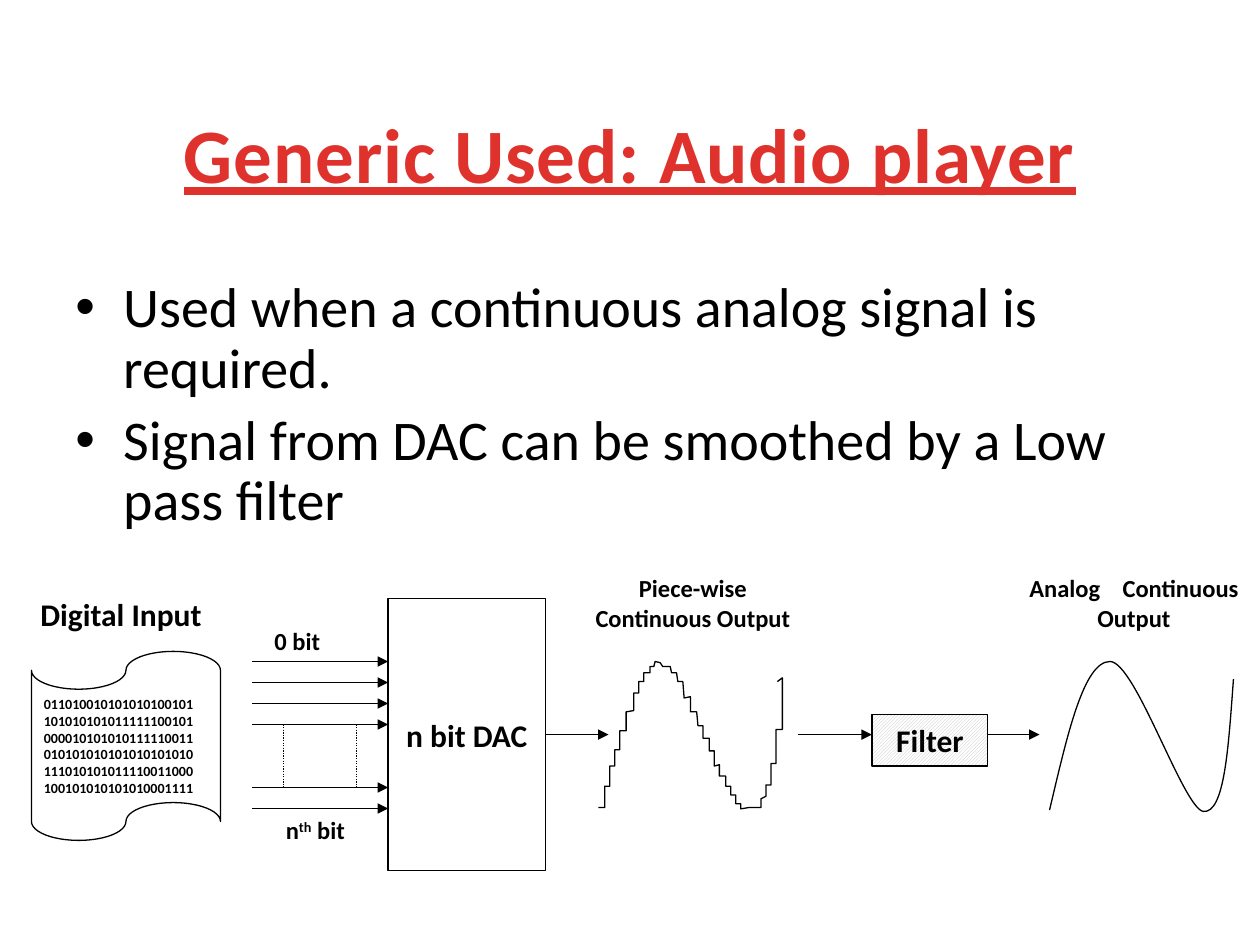
import pptx
import pptx.dml.color
import pptx.enum.dml
import pptx.enum.shapes
import pptx.enum.text
import pptx.oxml.ns
import pptx.util
from pptx.util import Inches

BLACK = "000000"
LEFT = pptx.enum.text.PP_ALIGN.LEFT
CENTER = pptx.enum.text.PP_ALIGN.CENTER
TOP = pptx.enum.text.MSO_ANCHOR.TOP
MIDDLE = pptx.enum.text.MSO_ANCHOR.MIDDLE
SHAPES = pptx.enum.shapes.MSO_SHAPE


def color(value):
    return pptx.dml.color.RGBColor.from_string(value)


def add_xml(parent, tag, **attributes):
    child = parent.makeelement(pptx.oxml.ns.qn(tag), attributes)
    parent.append(child)
    return child


class Diagram:
    font_name = "Calibri"
    line_width = pptx.util.Pt(0.75)

    def __init__(self, slide):
        self.slide = slide

    def outline(self, line):
        line.color.rgb = color(BLACK)
        line.width = self.line_width

    def set_text(self, frame, paragraphs, size, bold=True, align=CENTER, anchor=TOP,
                 wrap=True, ink=BLACK, underline=False, bullet=False):
        frame.word_wrap = wrap
        frame.vertical_anchor = anchor
        for index, runs in enumerate(paragraphs):
            paragraph = frame.paragraphs[0] if index == 0 else frame.add_paragraph()
            paragraph.alignment = align
            if bullet:
                properties = paragraph._p.get_or_add_pPr()
                properties.set("marL", str(Inches(0.38)))
                properties.set("indent", str(-Inches(0.38)))
                add_xml(properties, "a:buFont", typeface="Arial")
                add_xml(properties, "a:buChar", char="•")
                paragraph.line_spacing = 0.9
                if index:
                    paragraph.space_before = pptx.util.Pt(size * 0.2)
            font = paragraph.font
            font.name = self.font_name
            font.size = pptx.util.Pt(size)
            font.bold = bold
            font.underline = underline
            font.color.rgb = color(ink)
            for words, attributes in runs:
                run = paragraph.add_run()
                run.text = words
                for name, value in attributes.items():
                    run._r.get_or_add_rPr().set(name, value)

    def text(self, box, paragraphs, size, **style):
        frame = self.slide.shapes.add_textbox(*map(Inches, box)).text_frame
        self.set_text(frame, paragraphs, size, **style)

    def block(self, preset, box, paragraphs, size, hatched=False, **style):
        shape = self.slide.shapes.add_shape(preset, *map(Inches, box))
        shape.shadow.inherit = False
        if hatched:
            shape.fill.patterned()
            shape.fill.pattern = pptx.enum.dml.MSO_PATTERN.LIGHT_UPWARD_DIAGONAL
            shape.fill.fore_color.rgb = color("C0C0C0")
            shape.fill.back_color.rgb = color("FFFFFF")
        else:
            shape.fill.background()
        self.outline(shape.line)
        self.set_text(shape.text_frame, paragraphs, size, **style)
        return shape

    def line(self, start, end, arrow=True):
        connector = self.slide.shapes.add_connector(
            pptx.enum.shapes.MSO_CONNECTOR.STRAIGHT, *map(Inches, start + end))
        self.outline(connector.line)
        if arrow:
            add_xml(connector.line._get_or_add_ln(), "a:tailEnd", type="triangle")
        else:
            connector.line.dash_style = pptx.enum.dml.MSO_LINE.ROUND_DOT
        add_xml(connector.element.spPr, "a:effectLst")
        return connector

    def wave(self, points, curved=False):
        start, *rest = [(Inches(x), Inches(y)) for x, y in points]
        builder = self.slide.shapes.build_freeform(*start)
        builder.add_line_segments(rest, close=False)
        shape = builder.convert_to_shape()
        shape.shadow.inherit = False
        shape.fill.background()
        self.outline(shape.line)
        if curved:
            outline = shape.element.find(".//" + pptx.oxml.ns.qn("a:path"))
            segments = outline.findall(pptx.oxml.ns.qn("a:lnTo"))
            for first in range(0, len(segments), 3):
                curve = add_xml(outline, "a:cubicBezTo")
                for segment in segments[first:first + 3]:
                    curve.append(segment[0])
                    outline.remove(segment)


def plain(*lines):
    return [[(line, {})] for line in lines]


def main():
    presentation = pptx.Presentation()
    presentation.slide_width = Inches(10)
    presentation.slide_height = Inches(7.5)
    diagram = Diagram(presentation.slides.add_slide(presentation.slide_layouts[6]))

    diagram.text((0.5, 2.17, 9, 2.17), plain(
        "Used when a continuous analog signal is required.",
        "Signal from DAC can be smoothed by a Low pass filter",
    ), 32, bold=False, align=LEFT, bullet=True)
    diagram.text((0.5, 0.67, 9, 1.08), [[("Generic Used: Audio player", {"spc": "50"})]],
                 44, anchor=MIDDLE, ink="E0322D", underline=True)

    first_bit, bit_gap, signal = 5.25, 1 / 6, 5.83
    for bit in (0, 1, 2, 3, 6, 7):
        y = first_bit + bit * bit_gap
        diagram.line((2, y), (3.08, y))
    for x in (2.83, 2.25):
        diagram.line((x, first_bit + 3 * bit_gap), (x, first_bit + 6 * bit_gap), arrow=False)
    diagram.text((2.08, 4.92, 0.83, 0.33), plain("0 bit"), 14, align=LEFT)
    diagram.text((2.17, 6.42, 0.83, 0.33),
                 [[("n", {}), ("th", {"baseline": "30000"}), (" bit", {})]], 14, align=LEFT)

    dac = diagram.block(SHAPES.RECTANGLE, (3.08, 4.75, 1.25, 2.16), plain("n bit DAC"), 18,
                        anchor=MIDDLE, wrap=False)
    diagram.block(SHAPES.FLOWCHART_PUNCHED_TAPE, (0.25, 5.17, 1.5, 1.5), plain(
        "011010010101010100101",
        "101010101011111100101",
        "000010101010111110011",
        "010101010101010101010",
        "111010101011110011000",
        "100101010101010001111",
    ), 8, align=LEFT, anchor=MIDDLE, wrap=False)
    diagram.text((0.17, 4.67, 1.58, 0.4), plain("Digital Input"), 18)

    dac_output = diagram.line((4.33, signal), (4.83, signal))
    dac_output.begin_connect(dac, 3)
    diagram.wave([
        (4.75, 6.41), (4.8, 6.41), (4.8, 6.24), (4.84, 6.24), (4.84, 6.08), (4.88, 6.08),
        (4.88, 5.95), (4.92, 5.95), (4.92, 5.8), (4.97, 5.8), (4.97, 5.65), (5.03, 5.64),
        (5.03, 5.5), (5.07, 5.5), (5.07, 5.41), (5.11, 5.41), (5.11, 5.34), (5.16, 5.34),
        (5.16, 5.29), (5.19, 5.29), (5.2, 5.25), (5.24, 5.26), (5.26, 5.29), (5.32, 5.29),
        (5.33, 5.34), (5.37, 5.34), (5.38, 5.41), (5.42, 5.41), (5.43, 5.54), (5.48, 5.53),
        (5.48, 5.65), (5.53, 5.65), (5.54, 5.76), (5.58, 5.76), (5.58, 5.86), (5.63, 5.86),
        (5.63, 5.96), (5.67, 5.96), (5.67, 6.08), (5.71, 6.07), (5.71, 6.16), (5.76, 6.16),
        (5.76, 6.24), (5.8, 6.24), (5.8, 6.31), (5.84, 6.31), (5.84, 6.38), (5.88, 6.38),
        (5.88, 6.42), (5.94, 6.41), (6.04, 6.41), (6.04, 6.34), (6.08, 6.32), (6.08, 6.23),
        (6.12, 6.23), (6.12, 6.06), (6.16, 6.06), (6.16, 5.79), (6.21, 5.79), (6.21, 5.38),
        (6.17, 5.41),
    ])
    diagram.wave([
        (8.33, 6.43), (8.47, 5.84), (8.6, 5.25), (8.81, 5.25), (9.01, 5.25),
        (9.39, 6.41), (9.55, 6.44), (9.72, 6.46), (9.75, 5.93), (9.79, 5.39),
    ], curved=True)
    diagram.line((6.33, signal), (6.92, signal))
    diagram.block(SHAPES.RECTANGLE, (6.92, 5.67, 0.92, 0.41), plain("Filter"), 18, hatched=True)
    diagram.line((7.83, signal), (8.25, signal))
    diagram.text((4.5, 4.5, 2, 0.57), plain("Piece-wise Continuous Output"), 14)
    diagram.text((8, 4.5, 2, 0.57),
                 [[("Analog", {}), (" ", {"spc": "950"}), ("Continuous Output", {})]], 14)

    presentation.save("out.pptx")


if __name__ == "__main__":
    main()
